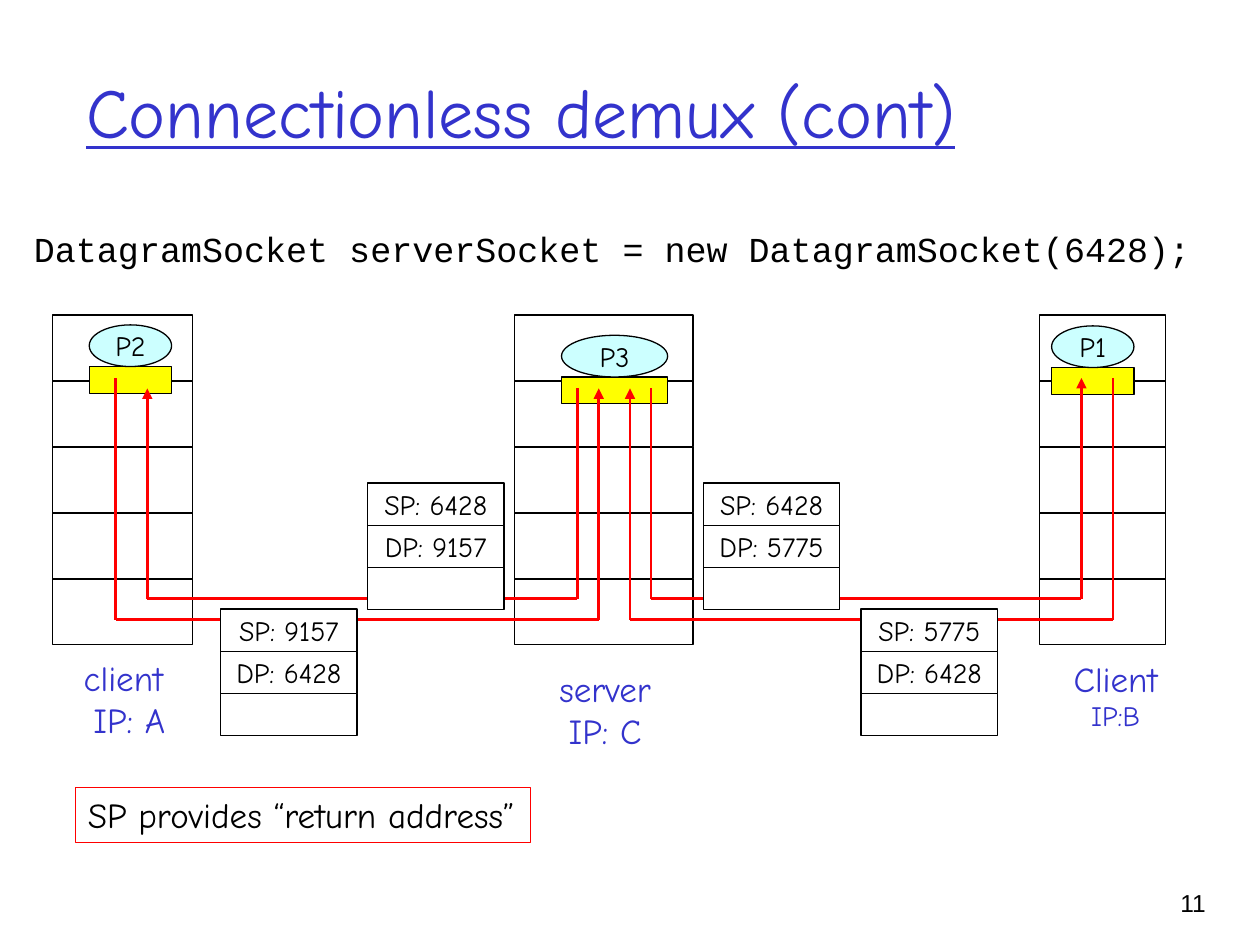
import pptx
import pptx.dml.color
import pptx.enum.dml
import pptx.enum.shapes
import pptx.enum.text
import pptx.oxml.ns
import pptx.util
from lxml import etree
from pptx.util import Cm

COLORS = {"blue": "3333CC", "black": "000000", "white": "FFFFFF",
          "yellow": "FFFF00", "cyan": "CCFFFF", "red": "FF0000"}
ALIGN = pptx.enum.text.PP_ALIGN
ANCHOR = pptx.enum.text.MSO_ANCHOR
SHAPE = pptx.enum.shapes.MSO_SHAPE


def write(shape, text, size=16, font="Comic Neue", color="black", align=ALIGN.CENTER,
          anchor=ANCHOR.MIDDLE, wrap=False, underline=None):
    """Fill a shape with one formatted paragraph per line of text."""
    frame = shape.text_frame
    frame.text = text
    frame.auto_size = pptx.enum.text.MSO_AUTO_SIZE.NONE
    frame.word_wrap = wrap
    frame.vertical_anchor = anchor
    for paragraph in frame.paragraphs:
        paragraph.alignment = align
        for run in paragraph.runs:
            run.font.size = pptx.util.Pt(size)
            run.font.name = font
            run.font.underline = underline
            run.font.color.rgb = pptx.dml.color.RGBColor.from_string(COLORS[color])


def add_box(left, top, width, height, fill="white", line="black", kind=SHAPE.RECTANGLE):
    shape = slide.shapes.add_shape(kind, Cm(left), Cm(top), Cm(width), Cm(height))
    shape.shadow.inherit = False
    if fill:
        shape.fill.solid()
        shape.fill.fore_color.rgb = pptx.dml.color.RGBColor.from_string(COLORS[fill])
    else:
        shape.fill.background()
    shape.line.color.rgb = pptx.dml.color.RGBColor.from_string(COLORS[line])
    shape.line.width = pptx.util.Pt(0.75)
    return shape


presentation = pptx.Presentation()
presentation.slide_width = Cm(25.4)
presentation.slide_height = Cm(19.05)
slide = presentation.slides.add_slide(presentation.slide_layouts[1])
for placeholder in list(slide.placeholders):
    if placeholder.placeholder_format.idx > 1:
        placeholder.element.getparent().remove(placeholder.element)

# Title and code line
title = slide.shapes.title
title.left, title.top, title.width, title.height = Cm(1.48), Cm(0.64), Cm(21.59), Cm(3.18)
write(title, "Connectionless demux (cont)", size=40, color="blue",
      align=ALIGN.LEFT, wrap=True, underline=True)

code = slide.placeholders[1]
code.left, code.top, code.width, code.height = Cm(0.43), Cm(4.45), Cm(24.13), Cm(1.7)
write(code, "DatagramSocket serverSocket = new DatagramSocket(6428);", size=20,
      font="Courier New", align=ALIGN.LEFT, anchor=ANCHOR.TOP, wrap=True)
code_paragraph = code.text_frame.paragraphs[0]
code_paragraph.space_before = pptx.util.Pt(0)
code_properties = code_paragraph._p.get_or_add_pPr()
code_properties.set("marL", "0")
code_properties.set("indent", "0")
etree.SubElement(code_properties, pptx.oxml.ns.qn("a:buNone"))

# Hosts: protocol stack, socket and process, label below
STACK_TOP, LAYER_HEIGHT, LAYERS = 6.35, 1.33, 5
PROCESS_HEIGHT, SOCKET_HEIGHT = 0.84, 0.54
hosts = [  # stack left, width; process name, left, top, width; label text, left, top, width
    (1.06, 2.82, "P2", 1.8, 6.55, 1.66, "client\n IP: A", 1.4, 13.1, 2.18),
    (20.95, 2.54, "P1", 21.2, 6.57, 1.66, "Client\nIP:B", 21.39, 13.12, 2.2),
    (10.37, 3.6, "P3", 11.32, 6.76, 2.14, "server\nIP: C", 11.02, 13.33, 2.36),
]
for (stack_left, stack_width, process, process_left, process_top, process_width,
     label_text, label_left, label_top, label_width) in hosts:
    for layer in range(LAYERS):
        add_box(stack_left, STACK_TOP + layer * LAYER_HEIGHT, stack_width, LAYER_HEIGHT)
    add_box(process_left, process_top + PROCESS_HEIGHT, process_width, SOCKET_HEIGHT,
            fill="yellow")
    ellipse = add_box(process_left, process_top, process_width, PROCESS_HEIGHT,
                      fill="cyan", kind=SHAPE.OVAL)
    write(ellipse, process)
    label = slide.shapes.add_textbox(Cm(label_left), Cm(label_top), Cm(label_width), Cm(1.96))
    write(label, label_text, size=20, color="blue", anchor=ANCHOR.TOP)
    if process == "P1":
        label.text_frame.paragraphs[1].runs[0].font.size = pptx.util.Pt(16)

# Routes between sockets: down, across, and up to an arrowhead
REPLY_LEVEL, REQUEST_LEVEL = 12.07, 12.49
routes = [  # start x, start y, level, end x, end y
    (2.33, 7.62, REQUEST_LEVEL, 12.07, 7.83),
    (11.64, 7.83, REPLY_LEVEL, 2.97, 7.83),
    (22.44, 7.62, REQUEST_LEVEL, 12.7, 7.83),
    (13.12, 7.83, REPLY_LEVEL, 21.8, 7.62),
]
for start_x, start_y, level, end_x, end_y in routes:
    points = [(start_x, start_y), (start_x, level), (end_x, level), (end_x, end_y)]
    for begin, end in zip(points, points[1:]):
        connector = slide.shapes.add_connector(
            pptx.enum.shapes.MSO_CONNECTOR.STRAIGHT,
            Cm(begin[0]), Cm(begin[1]), Cm(end[0]), Cm(end[1]))
        connector.line.color.rgb = pptx.dml.color.RGBColor.from_string(COLORS["red"])
        connector.line.width = pptx.util.Pt(1.5)
        if end == points[-1]:
            etree.SubElement(connector.line._get_or_add_ln(),
                             pptx.oxml.ns.qn("a:tailEnd"), type="triangle")
        etree.SubElement(connector._element.spPr, pptx.oxml.ns.qn("a:effectLst"))

# Packets: source port, destination port, empty payload
FIELD_WIDTH, FIELD_HEIGHT = 2.75, 0.85
packets = [
    (7.41, 9.74, 6428, 9157),
    (4.45, 12.28, 9157, 6428),
    (14.18, 9.74, 6428, 5775),
    (17.36, 12.28, 5775, 6428),
]
for left, top, source_port, destination_port in packets:
    for row, text in enumerate([f"SP: {source_port}", f"DP: {destination_port}", ""]):
        field = add_box(left, top + row * FIELD_HEIGHT, FIELD_WIDTH, FIELD_HEIGHT)
        if text:
            write(field, text)

# Remark and page number
remark = add_box(1.52, 15.88, 9.17, 1.11, fill=None, line="red")
write(remark, "SP provides “return address”", size=20, align=ALIGN.LEFT, anchor=ANCHOR.TOP)
page_number = slide.shapes.add_textbox(Cm(22.68), Cm(17.78), Cm(1.88), Cm(1.27))
write(page_number, "11", size=14, font="Arial", align=ALIGN.RIGHT,
      anchor=ANCHOR.TOP, wrap=True)

presentation.save("out.pptx")
